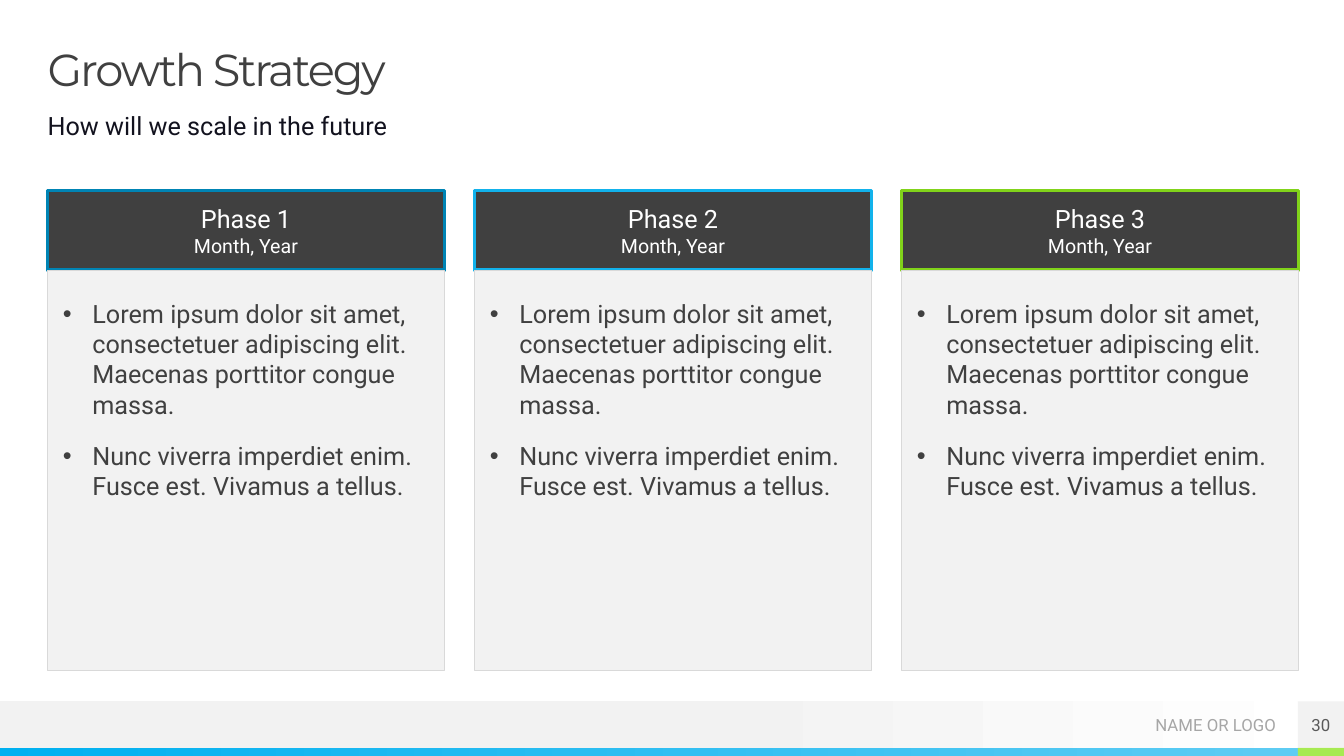
from lxml import etree
from pptx import Presentation
from pptx.dml.color import RGBColor
from pptx.enum import shapes, text
from pptx.oxml import ns
from pptx.util import Pt

CHARCOAL = RGBColor(0x40, 0x40, 0x40)
INK = RGBColor(0x12, 0x12, 0x1E)
SLATE = RGBColor(0x59, 0x59, 0x59)
SILVER = RGBColor(0xA6, 0xA6, 0xA6)
BORDER = RGBColor(0xD9, 0xD9, 0xD9)
PALE = RGBColor(0xF2, 0xF2, 0xF2)
WHITE = RGBColor(0xFF, 0xFF, 0xFF)
SKY = RGBColor(0x00, 0xB0, 0xF0)
LIGHT_SKY = RGBColor(0x5E, 0xCC, 0xF3)
LIME = RGBColor(0xA7, 0xEA, 0x52)

PHASES = [
    ("Phase 1", RGBColor(0x00, 0x84, 0xB4)),
    ("Phase 2", RGBColor(0x12, 0xB2, 0xEB)),
    ("Phase 3", RGBColor(0x81, 0xD3, 0x1A)),
]
POINTS = [
    "Lorem ipsum dolor sit amet, consectetuer adipiscing elit. "
    "Maecenas porttitor congue massa.",
    "Nunc viverra imperdiet enim. Fusce est. Vivamus a tellus.",
]

WIDTH, HEIGHT = 960, 540
MARGIN, CONTENT_WIDTH = 34, 893
CARD_WIDTH, CARD_PITCH = 283.5, 305
HEADER_TOP, HEADER_HEIGHT = 136, 57
LIST_TOP, LIST_HEIGHT = HEADER_TOP + HEADER_HEIGHT, 286
FOOTER_TOP, FOOTER_HEIGHT, STRIP_HEIGHT = 501, 33, 6
STRIP_TOP = FOOTER_TOP + FOOTER_HEIGHT
CORNER_LEFT = WIDTH - FOOTER_HEIGHT

LEFT, CENTER, RIGHT = text.PP_ALIGN.LEFT, text.PP_ALIGN.CENTER, text.PP_ALIGN.RIGHT
TOP, MIDDLE = text.MSO_ANCHOR.TOP, text.MSO_ANCHOR.MIDDLE


class SlideBuilder:
    heading_font = "Montserrat"
    body_font = "Roboto"

    def __init__(self, page):
        self.page = page

    def rectangle(self, left, top, width, height, fill, line=None):
        """Draw a rectangle; fill is a colour or a list of gradient stops."""
        box = self.page.shapes.add_shape(
            shapes.MSO_SHAPE.RECTANGLE, Pt(left), Pt(top), Pt(width), Pt(height))
        box.shadow.inherit = False
        if isinstance(fill, list):
            box.fill.gradient()
            box.fill.gradient_angle = 0
            for stop, (position, color) in zip(box.fill.gradient_stops, fill):
                stop.position = position
                stop.color.rgb = color
        else:
            self.paint(box, fill)
        if line:
            self.outline(box, *line)
        else:
            box.line.fill.background()
        return box

    def paint(self, box, color):
        box.fill.solid()
        box.fill.fore_color.rgb = color

    def outline(self, box, color, width):
        box.line.color.rgb = color
        box.line.width = Pt(width)

    def textbox(self, left, top, width, height):
        return self.page.shapes.add_textbox(Pt(left), Pt(top), Pt(width), Pt(height))

    def placeholder(self, index, left, top, width, height):
        """Move a template placeholder into place, in front of earlier shapes."""
        box = self.page.placeholders[index]
        box.left, box.top, box.width, box.height = map(Pt, (left, top, width, height))
        self.page.shapes._spTree.append(box._element)
        return box

    def frame(self, box, anchor=TOP, insets=(0, 0, 0, 0)):
        frame = box.text_frame
        frame.word_wrap = True
        frame.auto_size = text.MSO_AUTO_SIZE.NONE
        frame.vertical_anchor = anchor
        (frame.margin_left, frame.margin_top,
         frame.margin_right, frame.margin_bottom) = map(Pt, insets)
        return frame

    def style(self, para, size, color, align=LEFT, font=None):
        para.alignment = align
        para.space_before = para.space_after = Pt(0)
        para.font.name = font or self.body_font
        para.font.size = Pt(size) if size else None
        para.font.bold = False
        para.font.color.rgb = color

    def label(self, box, words, size, color, align=LEFT, anchor=TOP, font=None):
        para = self.frame(box, anchor).paragraphs[0]
        para.add_run().text = words
        self.style(para, size, color, align, font)
        return para

    def header(self, left, name, accent):
        box = self.rectangle(left, HEADER_TOP, CARD_WIDTH, HEADER_HEIGHT,
                             CHARCOAL, (accent, 2.5))
        para = self.frame(box, MIDDLE, (9, 3, 9, 3)).paragraphs[0]
        for words, size in ((name, 18), ("Month, Year", 14)):
            if para.runs:
                para.add_line_break()
            span = para.add_run()
            span.text = words
            span.font.size = Pt(size)
        self.style(para, None, WHITE, CENTER)

    def bullet_list(self, index, left, points):
        box = self.placeholder(index, left, LIST_TOP, CARD_WIDTH, LIST_HEIGHT)
        self.paint(box, PALE)
        self.outline(box, BORDER, 0.75)
        frame = self.frame(box, TOP, (11, 20, 11, 0))
        for number, words in enumerate(points):
            para = frame.add_paragraph() if number else frame.paragraphs[0]
            para.add_run().text = words
            self.bullet(para)
            self.style(para, 18, CHARCOAL)
            para.space_before = Pt(10 if number else 0)
            para.space_after = Pt(5)

    def bullet(self, para):
        props = para._p.get_or_add_pPr()
        props.set("marL", str(Pt(21)))
        props.set("indent", str(-Pt(21)))
        color = etree.SubElement(props, ns.qn("a:buClr"))
        etree.SubElement(color, ns.qn("a:srgbClr"), val=str(CHARCOAL))
        etree.SubElement(props, ns.qn("a:buFont"), typeface="Arial")
        etree.SubElement(props, ns.qn("a:buChar"), char="•")


def main():
    deck = Presentation()
    deck.slide_width, deck.slide_height = Pt(WIDTH), Pt(HEIGHT)
    # The Comparison layout offers a title and four body placeholders.
    slide = SlideBuilder(deck.slides.add_slide(deck.slide_layouts[4]))

    slide.rectangle(0, FOOTER_TOP, WIDTH, FOOTER_HEIGHT, [(0.53, PALE), (1, WHITE)])
    slide.rectangle(0, STRIP_TOP, CORNER_LEFT, STRIP_HEIGHT, [(0, SKY), (1, LIGHT_SKY)])
    slide.rectangle(CORNER_LEFT, STRIP_TOP, FOOTER_HEIGHT, STRIP_HEIGHT, LIME)
    slide.label(slide.textbox(750, FOOTER_TOP, 161.5, FOOTER_HEIGHT + 1),
                "NAME OR LOGO", 12, SILVER, RIGHT, MIDDLE)

    title = slide.label(slide.placeholder(0, MARGIN, 34, CONTENT_WIDTH, 34),
                        "Growth Strategy", 32, CHARCOAL, font=slide.heading_font)
    title.line_spacing = 0.9
    title.runs[0].font._element.set("spc", "-150")
    slide.label(slide.placeholder(1, MARGIN, 79, CONTENT_WIDTH, 28),
                "How will we scale in the future", 18, INK)

    for column, (name, accent) in enumerate(PHASES):
        left = MARGIN + column * CARD_PITCH
        slide.header(left, name, accent)
        slide.bullet_list(column + 2, left, POINTS)

    corner = slide.rectangle(CORNER_LEFT, FOOTER_TOP, FOOTER_HEIGHT, FOOTER_HEIGHT, PALE)
    slide.label(corner, "30", 12, SLATE, CENTER, MIDDLE)
    deck.save("out.pptx")


if __name__ == "__main__":
    main()
